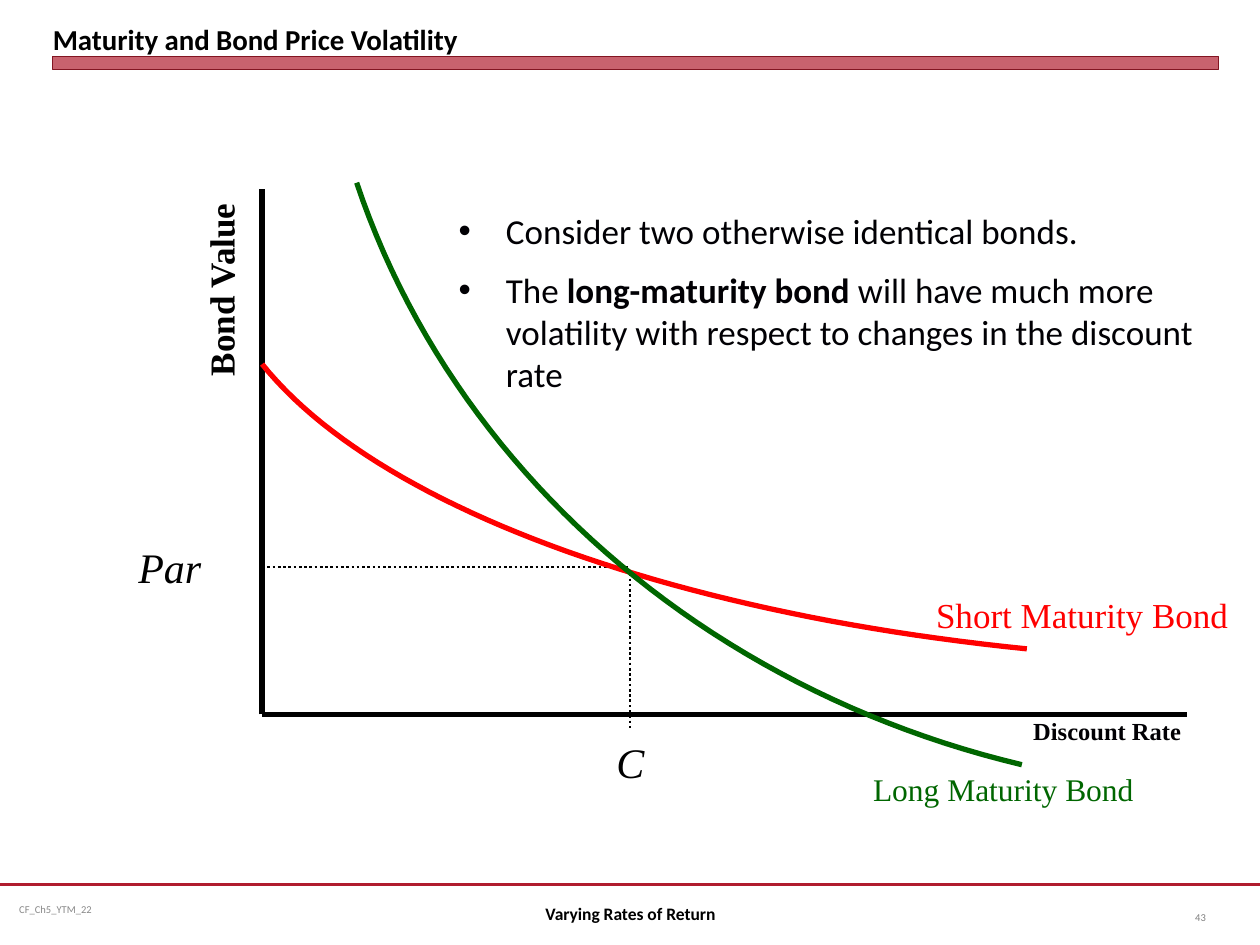
from dataclasses import dataclass, field

from pptx import Presentation
from pptx import util as u
from pptx.dml.color import RGBColor
from pptx.enum import dml, shapes, text
from pptx.oxml import ns, xmlchemy

COLORS = {
    "black": "000000",
    "ink": "010004",
    "crimson": "B01C2E",
    "maroon": "821522",
    "red": "FF0000",
    "green": "006600",
    "grey": "898989",
    "light_grey": "808080",
}
SERIF, SANS = "Times New Roman", "Calibri"
LEFT, CENTER, RIGHT = text.PP_ALIGN.LEFT, text.PP_ALIGN.CENTER, text.PP_ALIGN.RIGHT
TOP, MIDDLE, BOTTOM = text.MSO_ANCHOR.TOP, text.MSO_ANCHOR.MIDDLE, text.MSO_ANCHOR.BOTTOM
AXIS_LEFT, AXIS_BASE, COUPON, PAR = 149.8, 408.2, 360, 324
CURVE_STEPS = 48


@dataclass
class Label:
    words: str
    area: tuple
    size: float
    color: str = "black"
    face: str = SERIF
    align: int = LEFT
    anchor: int = TOP
    inset: tuple = (7.2, 3.6)
    wrap: bool = True
    rotation: float = 0
    style: dict = field(default_factory=dict)


@dataclass
class Rule:
    start: tuple
    end: tuple
    width: float
    color: str = "black"
    dash: int | None = None


@dataclass
class Curve:
    controls: tuple
    color: str


LABELS = [
    Label("CF_Ch5_YTM_22", (6, 505.4, 185.8, 28.8), 6, "grey", SANS,
          anchor=MIDDLE, inset=(5, 2.9)),
    Label("Varying Rates of Return", (246.2, 507.6, 228.2, 28.8), 10, face=SANS,
          align=CENTER, anchor=MIDDLE, style={"bold": True}),
    Label("43", (660.2, 509.8, 36, 28.8), 6, "light_grey", SANS,
          align=RIGHT, anchor=MIDDLE),
    Label("C", (336.2, 417.6, 48.2, 36), 24, align=CENTER, style={"italic": True}),
    Label("Par", (72, 306, 72, 36), 24, style={"italic": True}),
    Label("Discount Rate", (590.4, 409, 85, 17.3), 14, "ink",
          inset=(0, 0), wrap=False, style={"bold": True}),
    Label("Bond Value", (75.6, 152.6, 100.8, 23.8), 20,
          inset=(0, 0), wrap=False, rotation=270, style={"bold": True}),
    Label("Short Maturity Bond", (527.8, 335.5, 203.8, 31), 20, "red"),
    Label("Long Maturity Bond", (491.8, 436.3, 196.6, 28.8), 18, "green"),
]
DOTTED = dml.MSO_LINE.ROUND_DOT
RULES = [
    Rule((0, 505.4), (720, 505.4), 1.25, "crimson"),
    Rule((COUPON, 327.6), (COUPON, 417.6), 1.5, dash=DOTTED),
    Rule((AXIS_LEFT, PAR), (COUPON, PAR), 1.5, dash=DOTTED),
    Rule((AXIS_LEFT, AXIS_BASE), (678.2, AXIS_BASE), 3),
    Rule((AXIS_LEFT, AXIS_BASE), (AXIS_LEFT, 108), 3),
]
CURVES = [
    Curve(((AXIS_LEFT, 208.1), (213.8, 288), (378.7, 349.9), (586.8, 370.8)), "red"),
    Curve(((203.8, 104.4), (258.5, 267.8), (402.5, 393.8), (583.9, 437)), "green"),
]
BULLETS = [
    [("Consider two otherwise identical bonds.", False)],
    [("The ", False), ("long-maturity bond ", True),
     ("will have much more volatility with respect to changes in the discount rate", False)],
]


def rgb(name: str) -> RGBColor:
    return RGBColor.from_string(COLORS[name])


def apply(target, values: dict) -> None:
    for name, value in values.items():
        setattr(target, name, value)


def place(shape, area: tuple) -> None:
    apply(shape, dict(zip(("left", "top", "width", "height"), map(u.Pt, area))))


def format_frame(frame, inset: tuple, anchor: int, wrap: bool = True) -> None:
    side, edge = map(u.Pt, inset)
    apply(frame, {
        "auto_size": text.MSO_AUTO_SIZE.NONE, "word_wrap": wrap, "vertical_anchor": anchor,
        "margin_left": side, "margin_right": side, "margin_top": edge, "margin_bottom": edge,
    })


def add_span(para, words: str, size: float, face: str, color: str, style: dict) -> None:
    span = para.add_run()
    span.text = words
    apply(span.font, {"size": u.Pt(size), "name": face, **style})
    span.font.color.rgb = rgb(color)


def fill_label(box, label: Label) -> None:
    place(box, label.area)
    box.rotation = label.rotation
    format_frame(box.text_frame, label.inset, label.anchor, label.wrap)
    para = box.text_frame.paragraphs[0]
    para.alignment = label.align
    add_span(para, label.words, label.size, label.face, label.color, label.style)


def fill_bullets(box) -> None:
    place(box, (254.9, 115.9, 455.8, 116.6))
    format_frame(box.text_frame, (7.2, 3.6), TOP)
    for index, spans in enumerate(BULLETS):
        para = box.text_frame.paragraphs[0] if index == 0 else box.text_frame.add_paragraph()
        properties = para._p.get_or_add_pPr()
        properties.set("marL", str(u.Pt(27)))
        properties.set("indent", str(-u.Pt(27)))
        bullet = xmlchemy.OxmlElement("a:buChar")
        bullet.set("char", "•")
        properties.append(bullet)
        para.space_before = u.Pt(10 if index else 0)
        for words, bold in spans:
            add_span(para, words, 20, SANS, "ink", {"bold": bold})


def add_title_bar(page) -> None:
    bar = page.shapes.add_shape(shapes.MSO_SHAPE.RECTANGLE, 0, 0, 0, 0)
    place(bar, (30.2, 32.4, 666, 7.2))
    bar.shadow.inherit = False
    bar.fill.solid()
    bar.fill.fore_color.rgb = rgb("crimson")
    alpha = xmlchemy.OxmlElement("a:alpha")
    alpha.set("val", "69000")
    bar._element.spPr.find(".//" + ns.qn("a:srgbClr")).append(alpha)
    bar.line.color.rgb = rgb("maroon")
    bar.line.width = u.Pt(0)


def add_rule(page, rule: Rule) -> None:
    ends = map(u.Pt, (*rule.start, *rule.end))
    connector = page.shapes.add_connector(shapes.MSO_CONNECTOR.STRAIGHT, *ends)
    connector.line.color.rgb = rgb(rule.color)
    apply(connector.line, {"width": u.Pt(rule.width), "dash_style": rule.dash})
    connector._element.spPr.append(xmlchemy.OxmlElement("a:effectLst"))


def bezier(controls: tuple, t: float) -> tuple:
    weights = ((1 - t) ** 3, 3 * t * (1 - t) ** 2, 3 * t ** 2 * (1 - t), t ** 3)
    return tuple(u.Pt(sum(w * c for w, c in zip(weights, axis))) for axis in zip(*controls))


def add_curve(page, curve: Curve) -> None:
    points = [bezier(curve.controls, step / CURVE_STEPS) for step in range(CURVE_STEPS + 1)]
    builder = page.shapes.build_freeform(*points[0])
    builder.add_line_segments(points[1:], close=False)
    outline = builder.convert_to_shape()
    outline.shadow.inherit = False
    outline.fill.background()
    outline.line.color.rgb = rgb(curve.color)
    outline.line.width = u.Pt(3)


def main() -> None:
    deck = Presentation()
    apply(deck, {"slide_width": u.Pt(720), "slide_height": u.Pt(540)})
    page = deck.slides.add_slide(deck.slide_layouts[1])
    add_title_bar(page)
    fill_label(page.shapes.title, Label(
        "Maturity and Bond Price Volatility", (30.2, 3.6, 666, 28.8), 16.5,
        face=SANS, anchor=BOTTOM, inset=(0, 0), style={"bold": True}))
    fill_bullets(page.placeholders[1])
    for rule in RULES:
        add_rule(page, rule)
    for curve in CURVES:
        add_curve(page, curve)
    for label in LABELS:
        fill_label(page.shapes.add_textbox(0, 0, 0, 0), label)
    deck.save("out.pptx")


if __name__ == "__main__":
    main()
